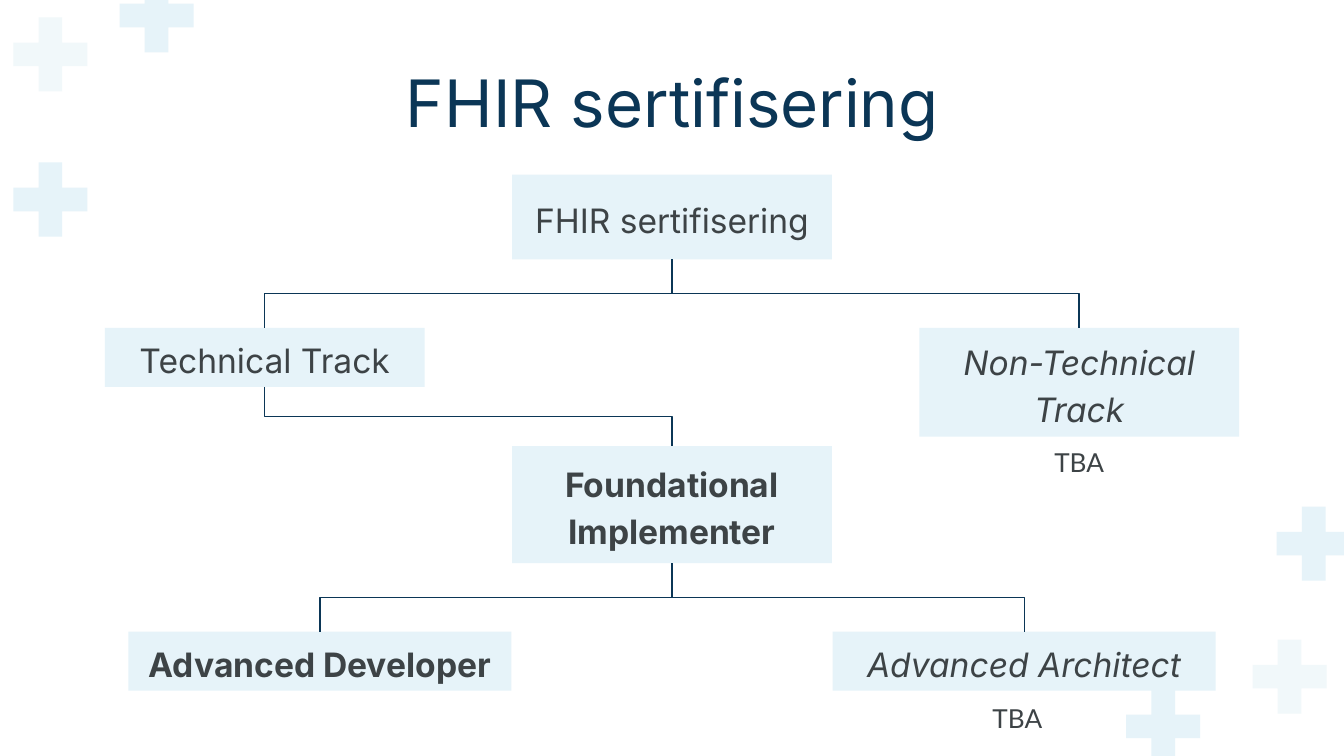
import pptx
import pptx.util
import pptx.dml.color
import pptx.enum.shapes
import pptx.enum.text
import lxml.etree

Inches = pptx.util.Inches
Shapes = pptx.enum.shapes.MSO_SHAPE
Anchor = pptx.enum.text.MSO_ANCHOR
COLORS = {"navy": "0B3656", "text": "3D4346", "panel": "E6F3F9", "pale": "F1F8FA"}


def color(name):
    return pptx.dml.color.RGBColor.from_string(COLORS[name])


def add_box(left, top, width, height, text="", size=18, font="Inter", ink="text",
            fill=None, kind=Shapes.RECTANGLE, spacing=1.15, bold=False, italic=False):
    position = [Inches(value) for value in (left, top, width, height)]
    if fill:
        box = page.shapes.add_shape(kind, *position)
        box.shadow.inherit = False
        box.fill.solid()
        box.fill.fore_color.rgb = color(fill)
        box.line.fill.background()
    else:
        box = page.shapes.add_textbox(*position)
    if text:
        frame = box.text_frame
        frame.text = text
        frame.word_wrap = True
        frame.vertical_anchor = Anchor.MIDDLE if fill else Anchor.TOP
        frame.margin_left = frame.margin_right = Inches(0.1)
        frame.margin_top = frame.margin_bottom = Inches(0.1)
        para = frame.paragraphs[0]
        para.alignment = pptx.enum.text.PP_ALIGN.CENTER
        para.line_spacing = spacing
        span = para.runs[0]
        span.font.name = font
        span.font.size = pptx.util.Pt(size)
        span.font.bold = bold
        span.font.italic = italic
        span.font.color.rgb = color(ink)
    return box


deck = pptx.Presentation()
deck.slide_width = Inches(10)
deck.slide_height = Inches(10 * 9 / 16)
page = deck.slides.add_slide(deck.slide_layouts[6])

for left, top, fill in [
    (0, 0.03, "pale"), (0, 1.11, "panel"), (0.79, -0.26, "panel"),
    (9.22, 4.66, "pale"), (9.4, 3.67, "panel"), (8.28, 5.03, "panel"),
]:
    plus = add_box(left, top, 0.75, 0.75, fill=fill, kind=Shapes.MATH_PLUS)
    plus.adjustments[0] = 0.235

add_box(0.79, 0.36, 8.43, 0.63, "FHIR sertifisering", size=35, ink="navy", spacing=1.0)

nodes = {}
for key, text, center, top, width, height, bold, italic in [
    ("root", "FHIR sertifisering", 5, 1.3, 2.38, 0.63, False, False),
    ("technical", "Technical Track", 1.97, 2.44, 2.38, 0.44, False, False),
    ("non_technical", "Non-Technical Track", 8.03, 2.44, 2.38, 0.81, False, True),
    ("foundational", "Foundational Implementer", 5, 3.32, 2.38, 0.87, True, False),
    ("developer", "Advanced Developer", 2.38, 4.7, 2.85, 0.44, True, False),
    ("architect", "Advanced Architect", 7.62, 4.7, 2.85, 0.44, False, True),
]:
    add_box(center - width / 2, top, width, height, text, fill="panel", bold=bold, italic=italic)
    nodes[key] = (center, top, top + height)

for center, top in [(8.03, 3.19), (7.57, 5.09)]:
    add_box(center - 1.19, top, 2.38, 0.36, "TBA", size=14, font="Lato")

for parent, child in [
    ("root", "technical"), ("root", "non_technical"), ("technical", "foundational"),
    ("foundational", "developer"), ("foundational", "architect"),
]:
    start_x, _, start_y = nodes[parent]
    end_x, end_y, _ = nodes[child]
    drop, reach = end_y - start_y, abs(end_x - start_x)
    middle_x, middle_y = (start_x + end_x) / 2, (start_y + end_y) / 2
    goes_right = end_x > start_x
    half = -drop / 2 if goes_right else drop / 2
    connector = page.shapes.add_connector(
        pptx.enum.shapes.MSO_CONNECTOR.ELBOW,
        Inches(middle_x - half), Inches(middle_y - reach / 2),
        Inches(middle_x + half), Inches(middle_y + reach / 2),
    )
    connector.line.color.rgb = color("navy")
    connector.line.width = pptx.util.Pt(0.75)
    properties = connector._element.spPr
    properties.xfrm.set("rot", str((270 if goes_right else 90) * 60000))
    lxml.etree.SubElement(properties, pptx.oxml.ns.qn("a:effectLst"))

deck.save("out.pptx")
